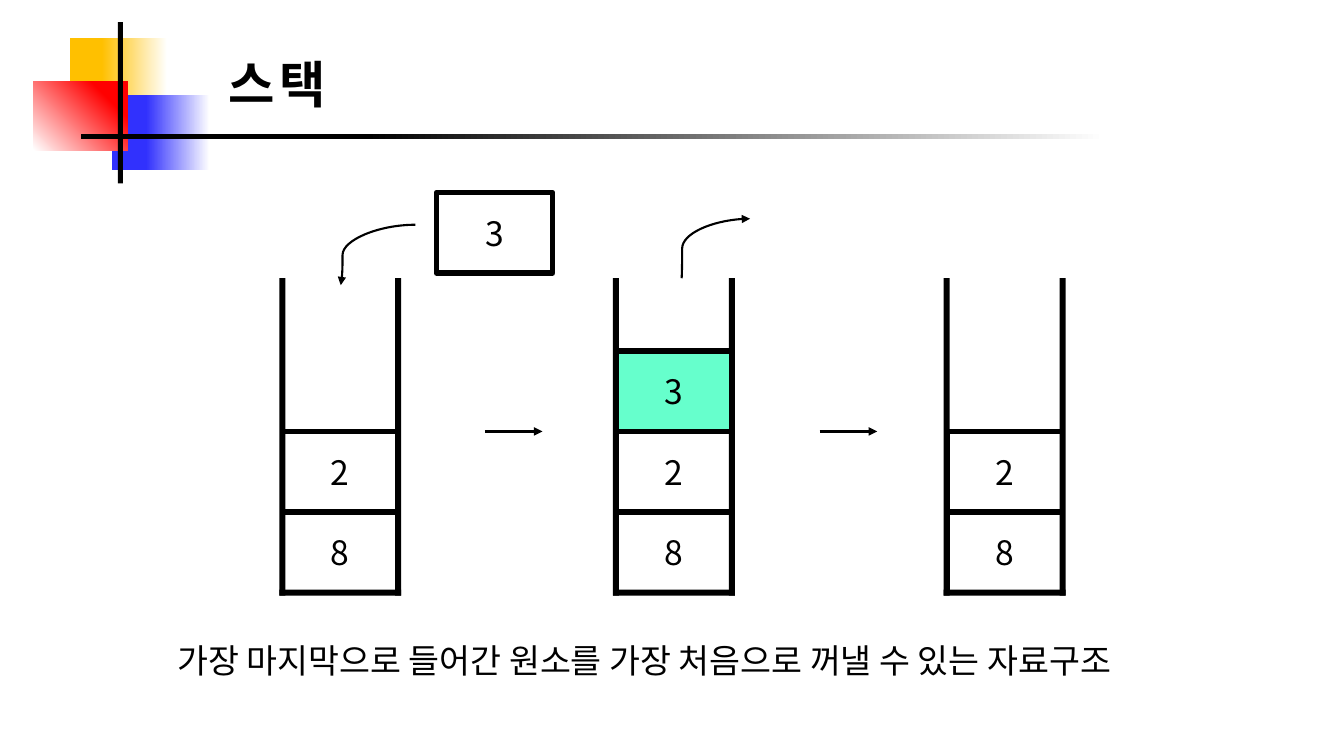
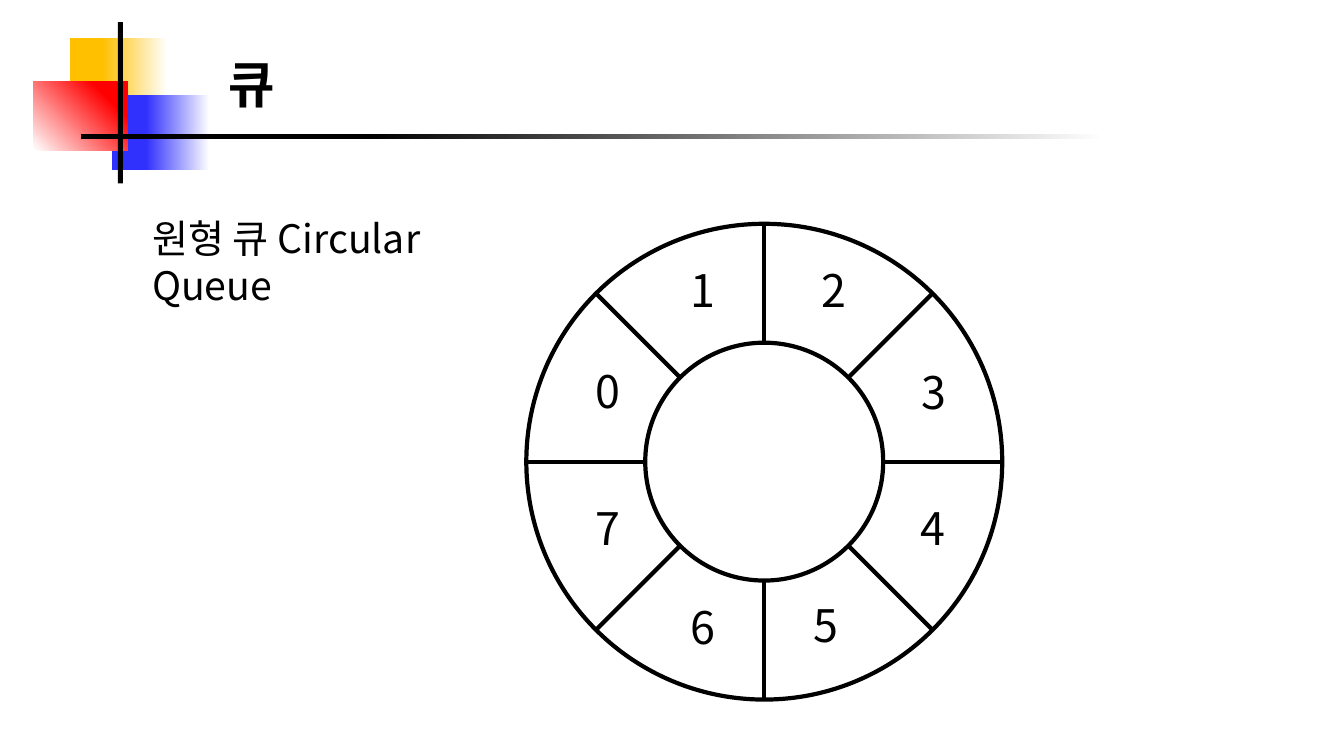
from dataclasses import dataclass
from math import cos, radians, sin

from lxml.etree import SubElement
from pptx import Presentation
from pptx.dml.color import RGBColor
from pptx.enum.shapes import MSO_CONNECTOR as Connector, MSO_SHAPE as Preset
from pptx.enum.text import MSO_ANCHOR as Anchor, MSO_AUTO_SIZE as AutoSize, PP_ALIGN as Align
from pptx.oxml.ns import qn
from pptx.util import Inches, Pt

FONT = "Noto Sans CJK KR"
COLORS = {
    "ink": "000000",
    "paper": "FFFFFF",
    "amber": "FFC000",
    "blue": "3131FD",
    "red": "FF0000",
    "mint": "66FFCC",
}


@dataclass(frozen=True)
class Box:
    left: float
    top: float
    width: float
    height: float

    def lengths(self) -> list:
        return [Inches(n) for n in (self.left, self.top, self.width, self.height)]


@dataclass(frozen=True)
class Fade:
    """A rectangle that runs from white to a colour."""
    box: Box
    color: str
    stop: float
    angle: int = 180


@dataclass(frozen=True)
class Stack:
    left: float
    values: tuple  # bottom to top


@dataclass(frozen=True)
class Label:
    text: str
    left: float
    top: float


# Header decoration, shared by both slides
HEADER_SQUARES = (
    Fade(Box(0.69, 0.38, 0.97, 0.95), "amber", 0.67),
    Fade(Box(1.11, 0.94, 0.97, 0.75), "blue", 0.65),
    Fade(Box(0.33, 0.81, 0.94, 0.68), "red", 0.78, 45),
)
HEADER_POST = Box(1.17, 0.22, 0.05, 1.6)
HEADER_RULE = Fade(Box(0.8, 1.33, 10.16, 0.05), "ink", 0.72)
TITLE_BOX = Box(2.17, 0.48, 7.32, 0.71)

# Stack diagram
STACKS = (Stack(2.8, ("8", "2")), Stack(6.11, ("8", "2", "3")), Stack(9.39, ("8", "2")))
CELL_WIDTH, CELL_HEIGHT = 1.15, 0.8
STACK_TOP, STACK_BOTTOM, RAIL = 2.76, 5.88, 0.06

# Circular queue
CENTER_X, CENTER_Y = 7.58, 4.58
OUTER_RADIUS, INNER_RADIUS = 2.36, 1.18
SLOTS = 8
SLOT_LABELS = (
    Label("0", 5.81, 3.56), Label("1", 6.75, 2.56),
    Label("2", 8.05, 2.56), Label("3", 9.04, 3.57),
    Label("4", 9.03, 4.92), Label("5", 7.97, 5.88),
    Label("6", 6.75, 5.9), Label("7", 5.81, 4.92),
)


def rgb(name: str) -> RGBColor:
    return RGBColor.from_string(COLORS[name])


def write(frame, text: str, size: float, bold: bool = False, spacing: float = 0) -> None:
    frame.word_wrap = True
    paragraph = frame.paragraphs[0]
    paragraph.text = text
    font = paragraph.font
    font.size, font.bold, font.name = Pt(size), bold, FONT
    font.color.rgb = rgb("ink")
    # Korean typeface and letter spacing
    properties = paragraph._p.pPr.find(qn("a:defRPr"))
    SubElement(properties, qn("a:ea"), typeface=FONT)
    if spacing:
        properties.set("spc", str(round(spacing * 100)))


def add_text(slide, box: Box, text: str, size: float, bold: bool = False,
             spacing: float = 0) -> None:
    frame = slide.shapes.add_textbox(*box.lengths()).text_frame
    write(frame, text, size, bold, spacing)
    frame.auto_size = AutoSize.SHAPE_TO_FIT_TEXT


def add_preset(slide, box: Box, fill: str | None = None, line: float = 0,
               preset=Preset.RECTANGLE):
    shape = slide.shapes.add_shape(preset, *box.lengths())
    shape.shadow.inherit = False
    if fill:
        shape.fill.solid()
        shape.fill.fore_color.rgb = rgb(fill)
    else:
        shape.fill.background()
    if line:
        shape.line.color.rgb = rgb("ink")
        shape.line.width = Pt(line)
    else:
        shape.line.fill.background()
    return shape


def add_fade(slide, fade: Fade) -> None:
    fill = add_preset(slide, fade.box).fill
    fill.gradient()
    fill.gradient_angle = fade.angle
    stops = ((0, "paper"), (fade.stop, fade.color))
    for stop, (position, color) in zip(fill.gradient_stops, stops):
        stop.position = position
        stop.color.rgb = rgb(color)


def add_line(slide, start: tuple, end: tuple, width: float, arrow: bool = False,
             bend: float | None = None) -> None:
    kind = Connector.STRAIGHT if bend is None else Connector.CURVE
    connector = slide.shapes.add_connector(kind, *(Inches(n) for n in (*start, *end)))
    connector.line.color.rgb = rgb("ink")
    connector.line.width = Pt(width)
    properties = connector._element.spPr
    if arrow:
        SubElement(properties.find(qn("a:ln")), qn("a:tailEnd"), type="triangle")
    if bend is not None:
        guides = properties.find(qn("a:prstGeom")).get_or_add_avLst()
        SubElement(guides, qn("a:gd"), name="adj1", fmla=f"val {round(bend * 100000)}")
    SubElement(properties, qn("a:effectLst"))


def add_titled_slide(presentation, title: str):
    slide = presentation.slides.add_slide(presentation.slide_layouts[6])
    for square in HEADER_SQUARES:
        add_fade(slide, square)
    add_preset(slide, HEADER_POST, "ink")
    add_fade(slide, HEADER_RULE)
    add_text(slide, TITLE_BOX, title, 36, bold=True, spacing=3)
    return slide


def add_cell(slide, left: float, top: float, value: str, fill: str | None = None) -> None:
    cell = add_preset(slide, Box(left, top, CELL_WIDTH, CELL_HEIGHT), fill, line=4)
    write(cell.text_frame, value, 24)
    cell.text_frame.vertical_anchor = Anchor.MIDDLE
    cell.text_frame.paragraphs[0].alignment = Align.CENTER


def add_stack(slide, stack: Stack) -> None:
    half = RAIL / 2
    left, right = stack.left - half, stack.left + CELL_WIDTH - half
    height = STACK_BOTTOM + half - STACK_TOP
    for rail in (left, right):
        add_preset(slide, Box(rail, STACK_TOP, RAIL, height), "ink")
    add_preset(slide, Box(left, STACK_BOTTOM - half, CELL_WIDTH + RAIL, RAIL), "ink")
    for level, value in enumerate(stack.values, start=1):
        fill = "mint" if value == "3" else None
        add_cell(slide, stack.left, STACK_BOTTOM - level * CELL_HEIGHT, value, fill)


def build_stack_slide(presentation) -> None:
    slide = add_titled_slide(presentation, "스택")
    for stack in STACKS:
        add_stack(slide, stack)
    # Pushed element, then the push, step and pop arrows
    add_cell(slide, 4.33, 1.91, "3")
    add_line(slide, (4.12, 2.23), (3.38, 2.83), 1.5, arrow=True, bend=0.976)
    for left in (4.81, 8.13):
        add_line(slide, (left, 4.28), (left + 0.57, 4.28), 2, arrow=True)
    add_line(slide, (6.76, 2.76), (7.44, 2.17), 1.5, arrow=True, bend=0.009)
    add_text(slide, Box(1.66, 6.3, 10.28, 0.5),
             "가장 마지막으로 들어간 원소를 가장 처음으로 꺼낼 수 있는 자료구조", 24)


def ring_point(radius: float, angle: float) -> tuple:
    return CENTER_X + radius * cos(angle), CENTER_Y + radius * sin(angle)


def build_queue_slide(presentation) -> None:
    slide = add_titled_slide(presentation, "큐")
    add_text(slide, Box(1.41, 2.08, 3.93, 0.57), "원형 큐 Circular Queue", 28)
    # Ring, spokes and slot numbers
    for radius in (OUTER_RADIUS, INNER_RADIUS):
        ring = Box(CENTER_X - radius, CENTER_Y - radius, 2 * radius, 2 * radius)
        add_preset(slide, ring, line=3, preset=Preset.OVAL)
    for slot in range(SLOTS):
        angle = radians(slot * 360 / SLOTS)
        add_line(slide, ring_point(INNER_RADIUS, angle), ring_point(OUTER_RADIUS, angle), 3)
    for label in SLOT_LABELS:
        add_text(slide, Box(label.left, label.top, 0.46, 0.64), label.text, 32)


def main() -> None:
    presentation = Presentation()
    presentation.slide_width, presentation.slide_height = Inches(13.33), Inches(7.5)
    build_stack_slide(presentation)
    build_queue_slide(presentation)
    presentation.save("out.pptx")


if __name__ == "__main__":
    main()
